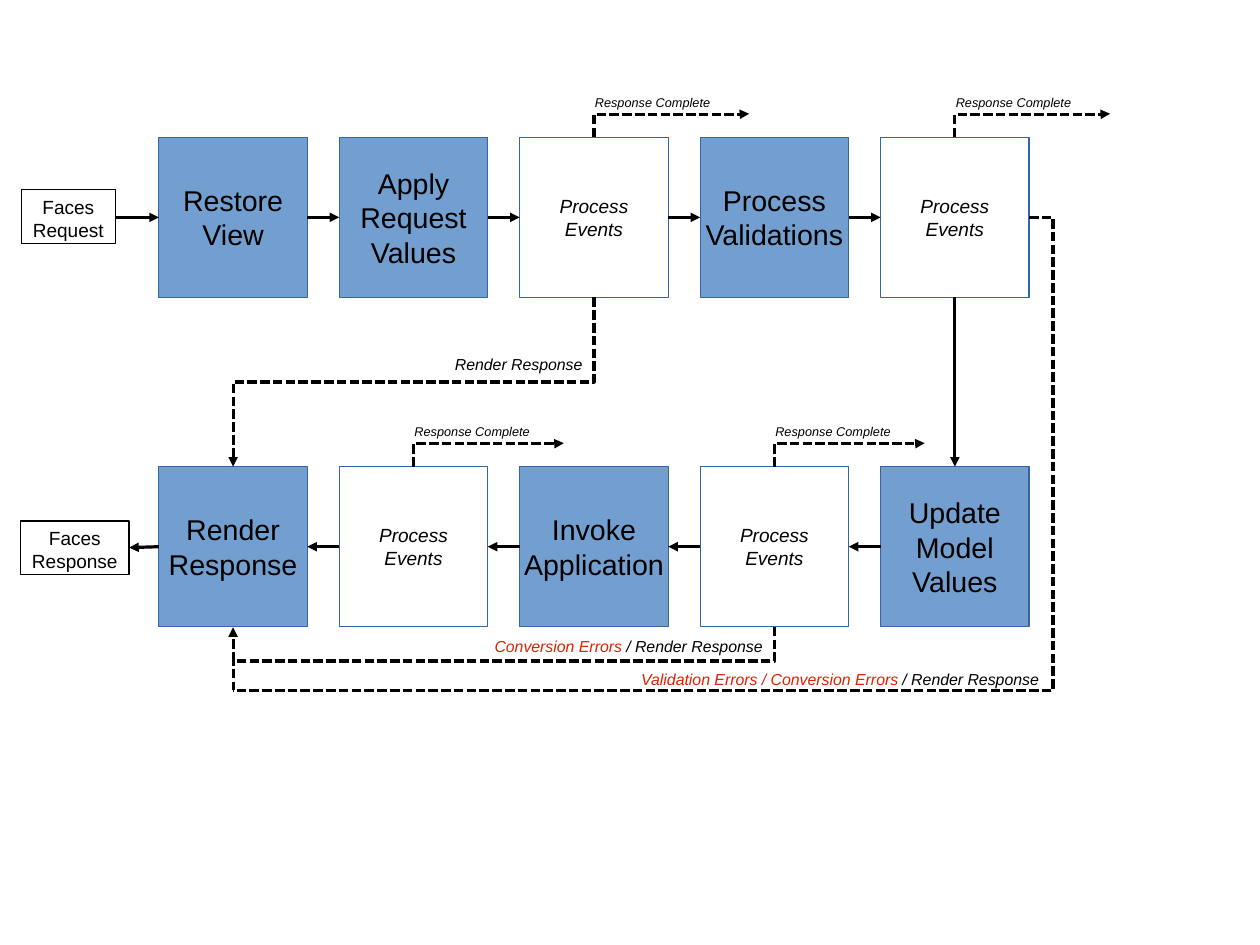
from pptx import Presentation
from pptx.dml.color import RGBColor
from pptx.enum.dml import MSO_LINE
from pptx.enum.shapes import MSO_CONNECTOR, MSO_SHAPE
from pptx.enum.text import MSO_ANCHOR, MSO_AUTO_SIZE, PP_ALIGN
from pptx.oxml.ns import qn
from pptx.util import Cm, Pt
from lxml.etree import SubElement

BLACK = RGBColor(0, 0, 0)
WHITE = RGBColor(255, 255, 255)
BLUE = RGBColor(0x72, 0x9F, 0xCF)
EDGE = RGBColor(0x34, 0x65, 0xA4)
RED = RGBColor(0xDC, 0x23, 0x00)

WIDE, HIGH = 3.3, 3.56
LEFT, STEP = 3.53, 4.01
TOP, LOW = 3.05, 10.37
EVENTS = "Process\nEvents"


def center(col):
    return LEFT + col * STEP + WIDE / 2


def style(run, size, color=BLACK, italic=False):
    font = run.font
    font.name = "Arial"
    font.size = Pt(size)
    font.italic = italic
    font.color.rgb = color


def box(slide, text, x, y, w, h, size, edge, fill=None, italic=False):
    shape = slide.shapes.add_shape(MSO_SHAPE.RECTANGLE, Cm(x), Cm(y), Cm(w), Cm(h))
    shape.shadow.inherit = False
    shape.line.color.rgb = edge
    shape.line.width = Pt(0)
    frame = shape.text_frame
    frame.word_wrap = False
    if fill is None:
        shape.fill.background()
        frame.vertical_anchor = MSO_ANCHOR.TOP
        frame.auto_size = MSO_AUTO_SIZE.SHAPE_TO_FIT_TEXT
    else:
        shape.fill.solid()
        shape.fill.fore_color.rgb = fill
        frame.vertical_anchor = MSO_ANCHOR.MIDDLE
    frame.text = text
    for para in frame.paragraphs:
        para.alignment = PP_ALIGN.CENTER
        style(para.runs[0], size, italic=italic)


def label(slide, parts, x, y, w, h, size):
    shape = slide.shapes.add_textbox(Cm(x), Cm(y), Cm(w), Cm(h))
    frame = shape.text_frame
    frame.word_wrap = False
    frame.auto_size = MSO_AUTO_SIZE.SHAPE_TO_FIT_TEXT
    for text, color in parts:
        run = frame.paragraphs[0].add_run()
        run.text = text
        style(run, size, color, True)


def link(slide, start, end, kind=MSO_CONNECTOR.STRAIGHT, dash=False, head=True):
    line = slide.shapes.add_connector(kind, *map(Cm, start + end))
    line.line.color.rgb = BLACK
    line.line.width = Pt(0)
    if dash:
        line.line.dash_style = MSO_LINE.SQUARE_DOT
    props = line._element.spPr
    if head:
        SubElement(props.find(qn("a:ln")), qn("a:tailEnd"), type="triangle")
    SubElement(props, qn("a:effectLst"))
    return line


def elbow(slide, start, end, bend, upright=True, head=True):
    if upright:
        midx, midy = (start[0] + end[0]) / 2, (start[1] + end[1]) / 2
        start, end = [(midx + y - midy, midy - x + midx) for x, y in (start, end)]
    line = link(slide, start, end, MSO_CONNECTOR.ELBOW, True, head)
    props = line._element.spPr
    if upright:
        props.find(qn("a:xfrm")).set("rot", "5400000")
    guides = props.find(qn("a:prstGeom")).find(qn("a:avLst"))
    SubElement(guides, qn("a:gd"), name="adj1", fmla=f"val {round(bend * 100000)}")


def leave(slide, x, y, reach):
    elbow(slide, (x, y), (x + reach, y - 0.52), 0.98)
    label(slide, [("Response Complete", BLACK)], x - 0.23, y - 1.07, 3.07, 0.56, 8)


def row(slide, y, names, reach, back=False):
    for col, name in enumerate(names):
        x = LEFT + col * STEP
        event = name == EVENTS
        box(slide, name, x, y, WIDE, HIGH, 12 if event else 18, EDGE,
            WHITE if event else BLUE, event)
        if col:
            ends = [(x - STEP + WIDE, y + HIGH / 2), (x, y + HIGH / 2)]
            link(slide, *(ends[::-1] if back else ends))
        if event:
            leave(slide, center(col), y, reach)


def ends(slide):
    box(slide, "Faces\nRequest", 0.48, 4.22, 2.08, 1.19, 12, BLACK)
    link(slide, (2.56, TOP + HIGH / 2), (LEFT, TOP + HIGH / 2))
    box(slide, "Faces\nResponse", 0.46, 11.58, 2.41, 1.19, 12, BLACK)
    link(slide, (LEFT, LOW + HIGH / 2), (2.87, LOW + HIGH / 2 + 0.02))


def jumps(slide):
    goal, foot, base = center(0), LOW + HIGH, 15.34
    link(slide, (center(4), TOP + HIGH), (center(4), LOW))
    elbow(slide, (center(2), TOP + HIGH), (goal, LOW), 0.5)
    elbow(slide, (center(3), foot), (goal, foot + 0.01), 76)
    elbow(slide, (LEFT + 4 * STEP + WIDE, TOP + HIGH / 2), (goal, base),
          -0.03, upright=False, head=False)
    link(slide, (goal, foot + 0.65), (goal, base), dash=True, head=False)
    tail = (" / Render Response", BLACK)
    label(slide, [("Render Response", BLACK)], 9.86, 7.75, 3.35, 0.64, 10)
    label(slide, [("Conversion Errors", RED), tail], 10.74, 14.02, 6.48, 0.64, 10)
    label(slide, [("Validation Errors / Conversion Errors", RED), tail],
          14, 14.76, 9.37, 0.64, 10)


def main():
    deck = Presentation()
    deck.slide_width, deck.slide_height = Cm(28), Cm(21)
    slide = deck.slides.add_slide(deck.slide_layouts[6])
    row(slide, TOP, ["Restore\nView", "Apply\nRequest\nValues", EVENTS,
                     "Process\nValidations", EVENTS], 3.45)
    row(slide, LOW, ["Render\nResponse", EVENTS, "Invoke\nApplication",
                     EVENTS, "Update\nModel\nValues"], 3.34, back=True)
    ends(slide)
    jumps(slide)
    deck.save("out.pptx")


if __name__ == "__main__":
    main()
